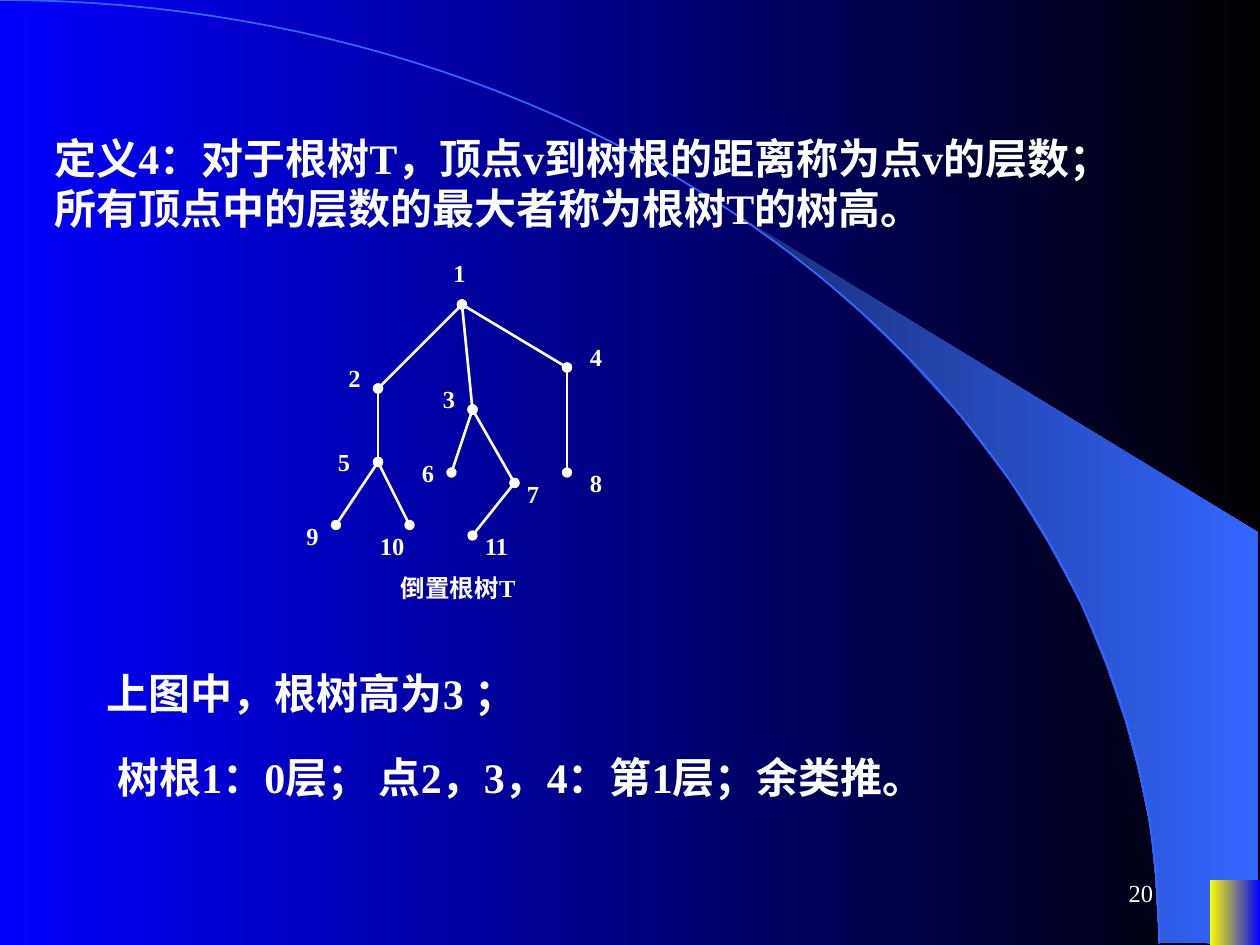
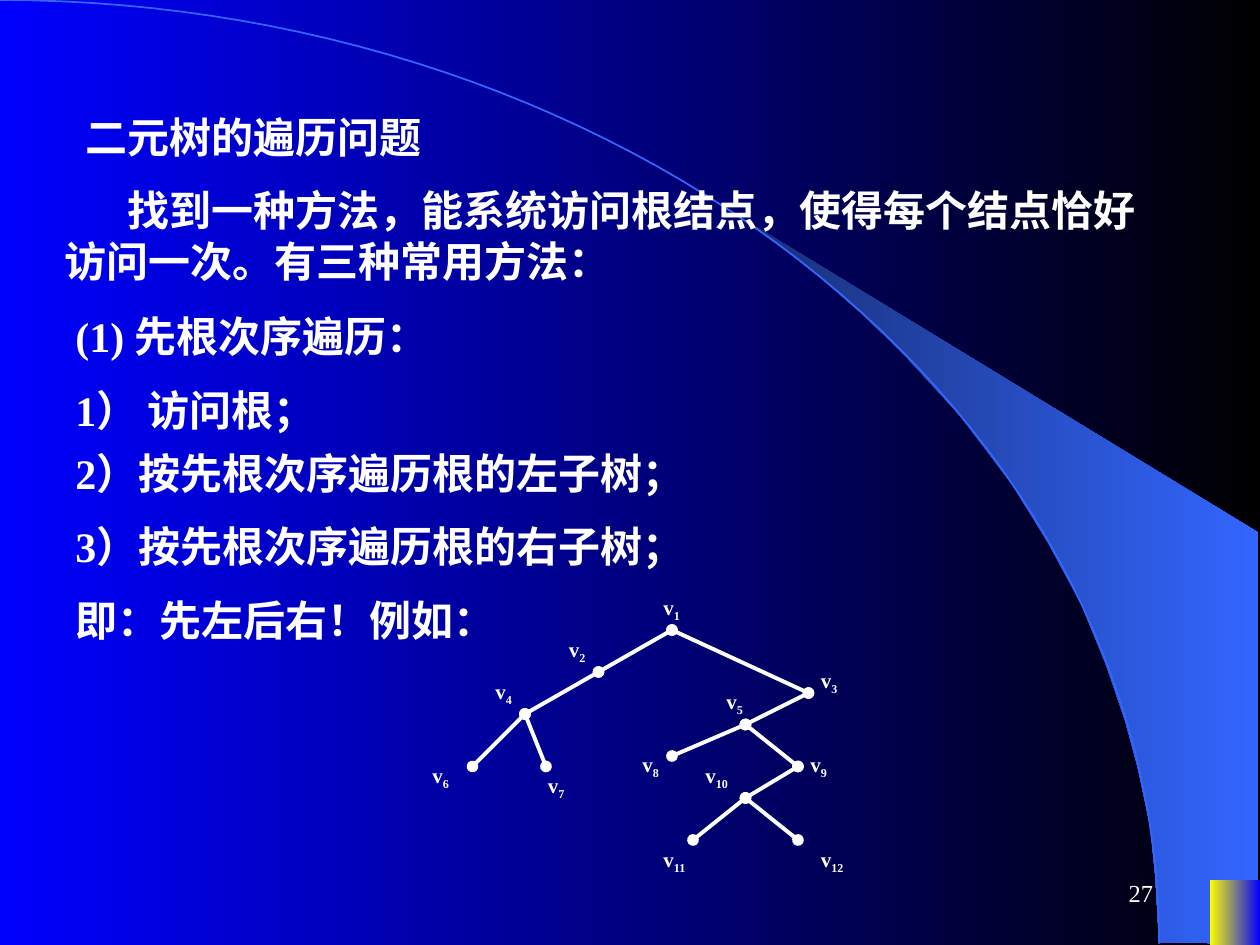
import math

import lxml.etree
import pptx
import pptx.dml.color
import pptx.enum.shapes
import pptx.enum.text
import pptx.oxml.ns
import pptx.util

RGB = pptx.dml.color.RGBColor
ALIGN = pptx.enum.text.PP_ALIGN
ANCHOR = pptx.enum.text.MSO_ANCHOR

BLUE = RGB(0x00, 0x00, 0xFF)
BLACK = RGB(0x00, 0x00, 0x00)
WHITE = RGB(0xFF, 0xFF, 0xFF)
NAVY = RGB(0x18, 0x2F, 0x76)
SKY = RGB(0x33, 0x66, 0xFF)
YELLOW = RGB(0xFF, 0xFF, 0x00)

FONT = "Times New Roman"
WIDTH, HEIGHT = pptx.util.Inches(10), pptx.util.Inches(7.5)
COLS, ROWS = 120, 90
CELL = WIDTH / COLS

# Sweep of light, in inches
SWEEP = [
    (9.2, 7.48), (9.99, 7.49), (9.99, 4.23), (5.89, 1.73), (6.24, 1.99),
    (6.53, 2.22), (6.85, 2.5), (7.16, 2.8), (7.62, 3.3), (8.03, 3.84),
    (8.32, 4.31), (8.58, 4.79), (8.78, 5.28), (8.93, 5.72), (9.03, 6.09),
    (9.13, 6.56), (9.17, 6.96), (9.2, 7.48),
]
ARC_WIDTH, ARC_HEIGHT, ARC_STEPS = 9.2, 7.49, 60

# Nodes: name -> (parent, dot column and row, label column and row)
ROOTED = {
    "1": (None, (44, 29), (42, 24)),
    "2": ("1", (36, 37), (32, 34)),
    "3": ("1", (45, 39), (41, 36)),
    "4": ("1", (54, 35), (55, 32)),
    "5": ("2", (36, 44), (31, 42)),
    "6": ("3", (43, 45), (39, 43)),
    "7": ("3", (49, 46), (49, 45)),
    "8": ("4", (54, 45), (55, 44)),
    "9": ("5", (32, 50), (28, 49)),
    "10": ("5", (39, 50), (35, 50)),
    "11": ("7", (45, 51), (45, 50)),
}
BINARY = {
    "1": (None, (64, 60), (62, 56)),
    "2": ("1", (57, 64), (53, 60)),
    "3": ("1", (77, 66), (77, 63)),
    "4": ("2", (50, 68), (46, 64)),
    "5": ("3", (71, 69), (68, 65)),
    "6": ("4", (45, 73), (40, 72)),
    "7": ("4", (52, 73), (51, 73)),
    "8": ("5", (64, 72), (60, 71)),
    "9": ("5", (76, 73), (76, 71)),
    "10": ("9", (71, 76), (66, 72)),
    "11": ("10", (66, 80), (62, 80)),
    "12": ("10", (76, 80), (77, 80)),
}

# Lines of text: column, row, first-line indent in columns, wording
HEIGHT_LINES = [
    (4, 63, 5, "上图中，根树高为3 ；"),
    (5, 71, 5, "树根1：0层； 点2，3，4：第1层；余类推。"),
]
VISIT_LINES = [
    (6, 10, 1, "二元树的遍历问题"),
    (5, 17, 6, "找到一种方法，能系统访问根结点，使得每个结点恰好访问一次。有三种常用方法："),
    (5, 29, 1, "(1) 先根次序遍历："),
    (5, 36, 1, "1） 访问根；"),
    (5, 42, 1, "2）按先根次序遍历根的左子树；"),
    (5, 49, 1, "3）按先根次序遍历根的右子树；"),
    (5, 56, 1, "即：先左后右！例如："),
]


def grid(*cells):
    return [round(n * CELL) for n in cells]


def blend(fill, start, end):
    """Fill with a gradient that runs from left to right."""
    fill.gradient()
    fill.gradient_angle = 0
    for stop, color in zip(fill.gradient_stops, (start, end)):
        stop.color.rgb = color


def outline(slide, points, close):
    """Draw a freeform through points given in inches."""
    spots = [(pptx.util.Inches(x), pptx.util.Inches(y)) for x, y in points]
    pen = slide.shapes.build_freeform(*spots[0])
    pen.add_line_segments(spots[1:], close=close)
    shape = pen.convert_to_shape()
    shape.shadow.inherit = False
    return shape


def style(run, size, bold=True):
    run.font.name = FONT
    run.font.size = pptx.util.Pt(size)
    run.font.bold = bold
    run.font.color.rgb = WHITE


def write(slide, text, col, row, wide, high, size, bold=True, indent=0):
    """Add a text box on the grid and return its frame."""
    frame = slide.shapes.add_textbox(*grid(col, row, wide, high)).text_frame
    frame.word_wrap = True
    frame.text = text
    para = frame.paragraphs[0]
    if indent:
        para._p.get_or_add_pPr().set("indent", str(grid(indent)[0]))
    style(para.runs[0], size, bold)
    return frame


def body(slide, lines):
    for col, row, indent, text in lines:
        write(slide, text, col, row, 105, 6, 24, indent=indent)


def edge(slide, start, end, weight):
    """Join two nodes by a line with a dot at each end."""
    line = slide.shapes.add_connector(
        pptx.enum.shapes.MSO_CONNECTOR.STRAIGHT, *grid(*start, *end))
    line.line.color.rgb = WHITE
    line.line.width = pptx.util.Pt(weight)
    stroke = line.line._get_or_add_ln()
    for tag in ("a:headEnd", "a:tailEnd"):
        lxml.etree.SubElement(stroke, pptx.oxml.ns.qn(tag), type="oval")
    lxml.etree.SubElement(
        line._element.spPr, pptx.oxml.ns.qn("a:effectLst"))


def label(slide, name, spot, size, prefix):
    """Name a node; after a prefix the number is a subscript."""
    wide = 4.2 if len(name) == 1 else 6
    frame = write(slide, prefix or name, *spot, wide, 4, size)
    if prefix:
        run = frame.paragraphs[0].add_run()
        run.text = name
        style(run, size)
        run._r.get_or_add_rPr().set("baseline", "-25000")


def tree(slide, nodes, weight, size, prefix=""):
    for parent, dot, _ in nodes.values():
        if parent:
            edge(slide, nodes[parent][1], dot, weight)
    for name, (_, _, spot) in nodes.items():
        label(slide, name, spot, size, prefix)


def base(deck, number):
    """Add a slide with the sweep, arc, corner and page number."""
    slide = deck.slides.add_slide(deck.slide_layouts[6])
    sweep = outline(slide, SWEEP, True)
    blend(sweep.fill, NAVY, SKY)
    sweep.line.fill.background()

    turns = [math.pi / 2 * i / ARC_STEPS for i in range(ARC_STEPS + 1)]
    arc = outline(slide, [(ARC_WIDTH * math.sin(t),
                           ARC_HEIGHT * (1 - math.cos(t)))
                          for t in turns], False)
    arc.fill.background()
    arc.line.color.rgb = SKY
    arc.line.width = pptx.util.Pt(1)

    wide, high = 4.8, 6.2
    corner = slide.shapes.add_shape(
        pptx.enum.shapes.MSO_SHAPE.RECTANGLE,
        *grid(COLS - wide, ROWS - high, wide, high))
    corner.shadow.inherit = False
    blend(corner.fill, YELLOW, BLUE)
    corner.line.fill.background()

    frame = write(slide, str(number), 86, 82, 25, 6, 14, bold=False)
    frame.vertical_anchor = ANCHOR.MIDDLE
    frame.paragraphs[0].alignment = ALIGN.RIGHT
    return slide


def main():
    deck = pptx.Presentation()
    deck.slide_width, deck.slide_height = WIDTH, HEIGHT
    blend(deck.slide_master.background.fill, BLUE, BLACK)

    slide = base(deck, 20)
    write(slide, "定义4：对于根树T，顶点v到树根的距离称为点v的层数；"
          "所有顶点中的层数的最大者称为根树T的树高。", 4, 12, 101, 11, 24)
    tree(slide, ROOTED, 1.5, 14)
    write(slide, "倒置根树T", 37, 54, 16, 4, 14)
    body(slide, HEIGHT_LINES)

    slide = base(deck, 27)
    body(slide, VISIT_LINES)
    tree(slide, BINARY, 2.25, 12, "v")

    deck.save("out.pptx")


if __name__ == "__main__":
    main()
